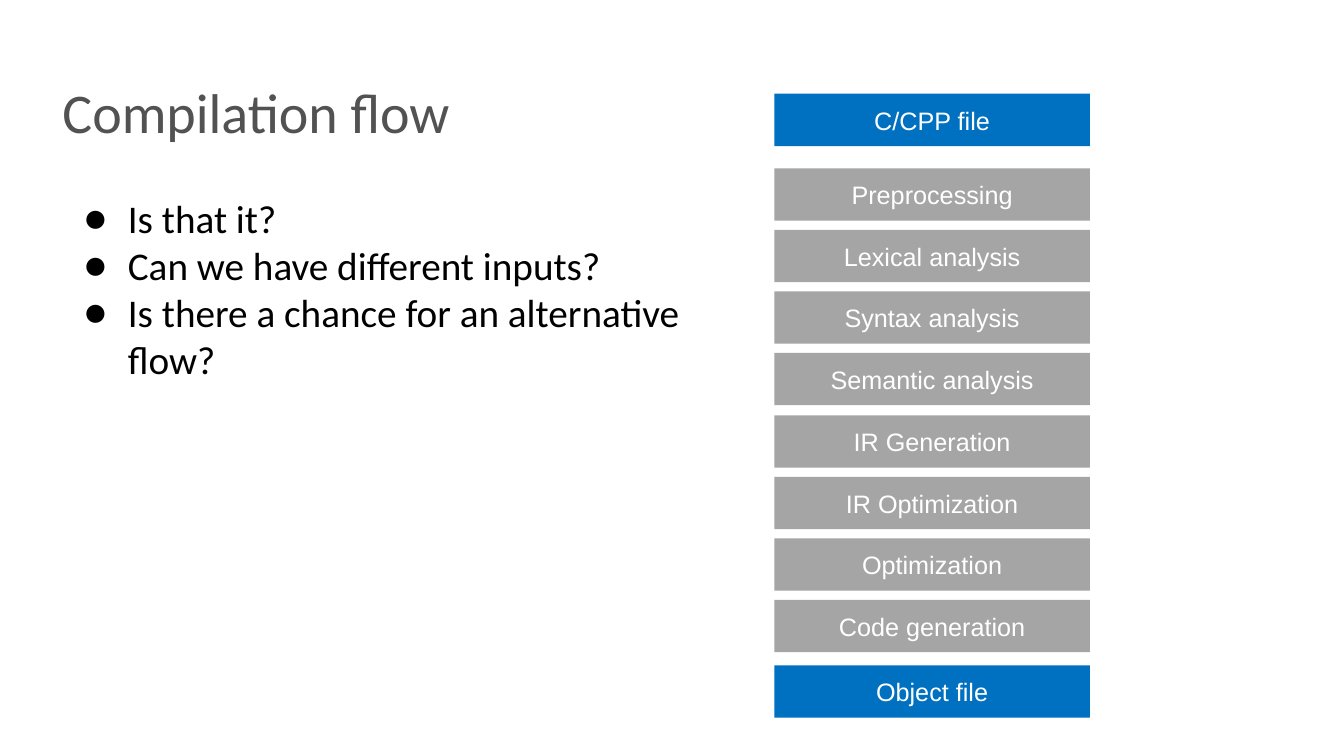
from lxml import etree
from pptx import Presentation
from pptx.dml.color import RGBColor as RGB
from pptx.enum.shapes import MSO_SHAPE as SHAPE
from pptx.enum.text import MSO_ANCHOR as ANCHOR, MSO_AUTO_SIZE as FIT, PP_ALIGN as ALIGN
from pptx.oxml.ns import qn
from pptx.util import Pt

PX = 9144
COLORS = {"title": "525252", "text": "000000", "stage": "A5A5A5", "file": "0070C0", "label": "FFFFFF"}


def set_frame(frame, inset, anchor):
    frame.word_wrap = True
    frame.vertical_anchor = anchor
    frame.margin_left = frame.margin_right = inset * PX
    frame.margin_top = frame.margin_bottom = inset * PX


def add_text(paragraph, text, font, size, color):
    run = paragraph.add_run()
    run.text = text
    run.font.name = font
    run.font.size = Pt(size)
    run.font.color.rgb = RGB.from_string(COLORS[color])


deck = Presentation()
deck.slide_width, deck.slide_height = 1333 * PX, 750 * PX
slide = deck.slides.add_slide(deck.slide_layouts[6])

title = slide.shapes.add_textbox(62 * PX, 62 * PX, 1204 * PX, 104 * PX).text_frame
set_frame(title, 0, ANCHOR.MIDDLE)
title.paragraphs[0].line_spacing = 0.9
add_text(title.paragraphs[0], "Compilation flow", "Calibri", 40, "title")

STAGES = [
    "Preprocessing", "Lexical analysis", "Syntax analysis", "Semantic analysis",
    "IR Generation", "IR Optimization", "Optimization", "Code generation",
]
FIRST_STAGE, LAST_STAGE = 167, 595
pitch = (LAST_STAGE - FIRST_STAGE) / (len(STAGES) - 1)
flow = [("C/CPP file", 93, "file")]
flow += [(stage, round(FIRST_STAGE + i * pitch), "stage") for i, stage in enumerate(STAGES)]
flow += [("Object file", 660, "file")]

for label, top, kind in flow:
    step = slide.shapes.add_shape(SHAPE.RECTANGLE, 768 * PX, top * PX, 313 * PX, 52 * PX)
    step.shadow.inherit = False
    step.fill.solid()
    step.fill.fore_color.rgb = RGB.from_string(COLORS[kind])
    step.line.fill.background()
    set_frame(step.text_frame, 6, ANCHOR.MIDDLE)
    caption = step.text_frame.paragraphs[0]
    caption.alignment = ALIGN.CENTER
    add_text(caption, label, "Arial", 18, "label")

QUESTIONS = [
    "Is that it?",
    "Can we have different inputs?",
    "Is there a chance for an alternative flow?",
]
questions = slide.shapes.add_textbox(67 * PX, 183 * PX, 625 * PX, 209 * PX).text_frame
set_frame(questions, 10, ANCHOR.TOP)
questions.auto_size = FIT.SHAPE_TO_FIT_TEXT
for i, question in enumerate(QUESTIONS):
    item = questions.add_paragraph() if i else questions.paragraphs[0]
    props = item._p.get_or_add_pPr()
    props.set("marL", str(50 * PX))
    props.set("indent", str(-44 * PX))
    bullet_color = etree.SubElement(props, qn("a:buClr"))
    etree.SubElement(bullet_color, qn("a:srgbClr"), val=COLORS["text"])
    etree.SubElement(props, qn("a:buFont"), typeface="Calibri")
    etree.SubElement(props, qn("a:buChar"), char="●")
    add_text(item, question, "Calibri", 28, "text")

deck.save("out.pptx")
